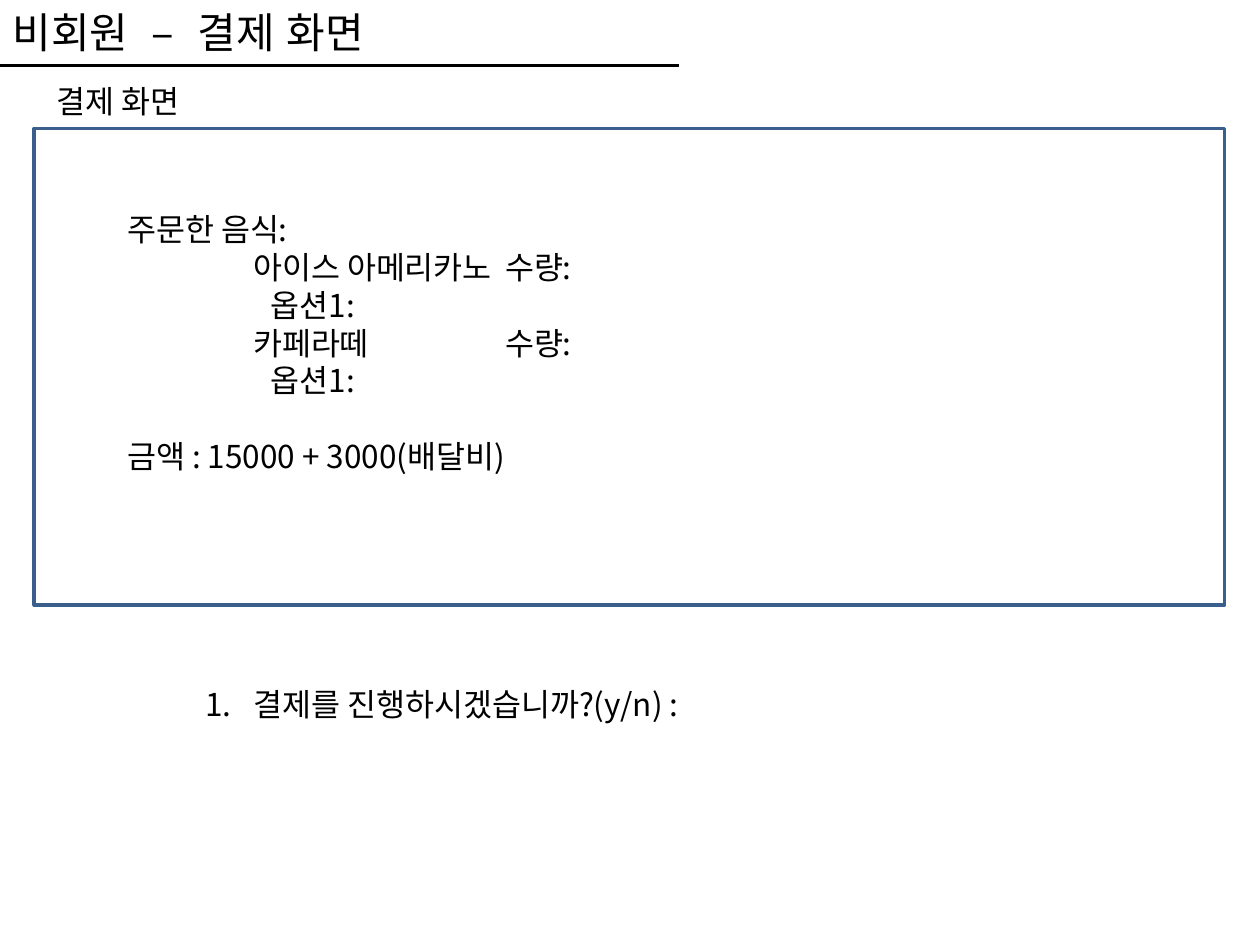
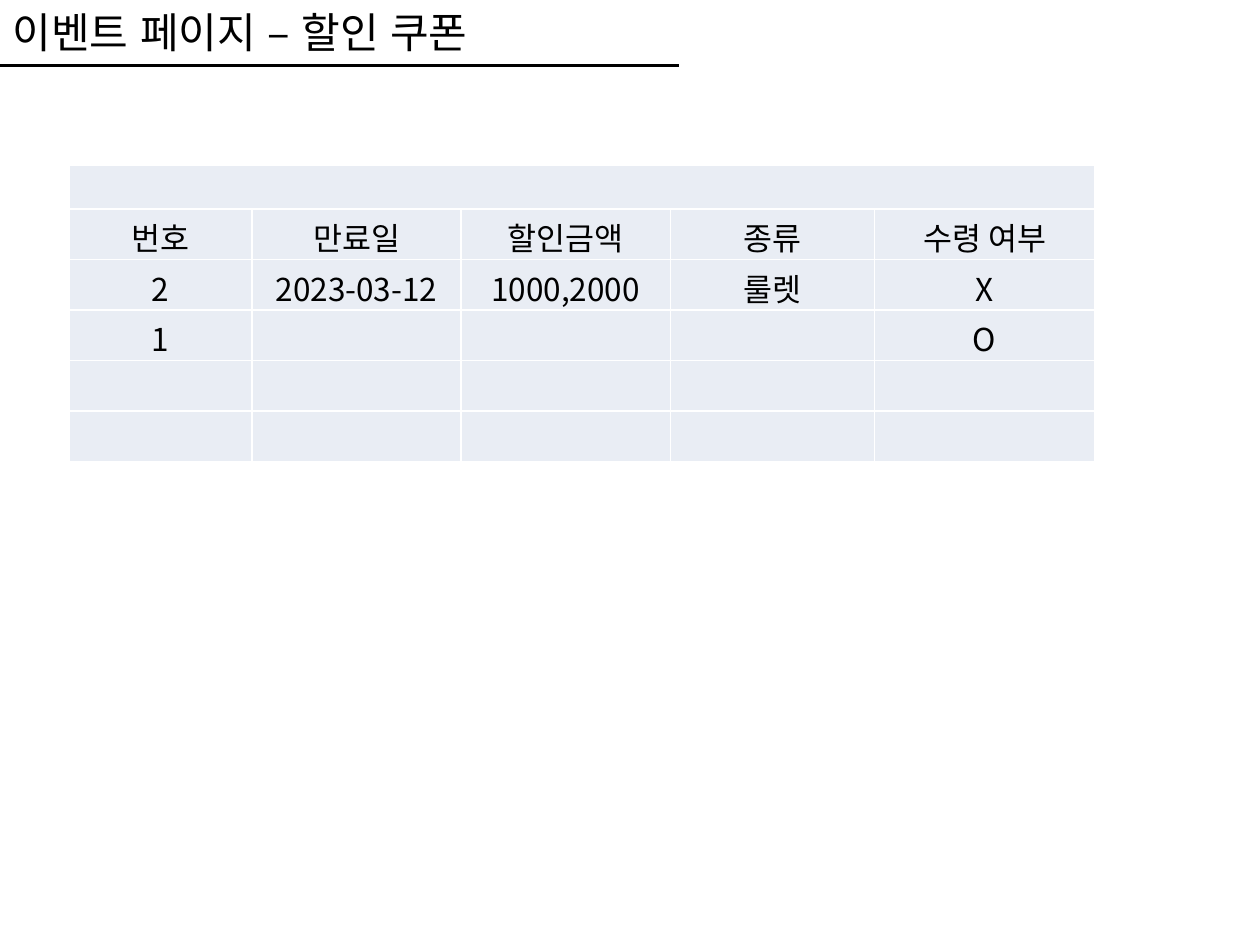
from lxml import etree
from pptx import Presentation
from pptx.dml.color import RGBColor
from pptx.enum.shapes import MSO_CONNECTOR, MSO_SHAPE
from pptx.enum.text import MSO_ANCHOR, MSO_AUTO_SIZE, PP_ALIGN
from pptx.oxml.ns import qn
from pptx.util import Inches, Pt

# Shared style
FONT = "Noto Sans CJK KR"
BLACK, WHITE, FRAME_BLUE, CELL_BLUE = "000000", "FFFFFF", "3A5F8C", "E9EDF4"
TITLE_SIZE, BODY_SIZE, EMPTY_SIZE = 24, 18, 12
LINE_FACTOR = 1.2
WORD_GAP, WIDE_GAP = 1.2, 8  # points added to a space in a title
TITLE_ONLY, TITLE_AND_CONTENT = 5, 1

# Payment slide content
PAYMENT_TITLE = "비회원 – 결제 화면"
PAYMENT_HEADING = "결제 화면"
ORDER_LINES = [  # kind, text
    ("label", "주문한 음식:"),
    ("item", "\t아이스 아메리카노\t수량:"),
    ("option", "옵션1:"),
    ("item", "\t카페라떼\t\t수량:"),
    ("option", "옵션1:"),
    ("total", "금액 : 15000 + 3000(배달비)"),
]
QUESTIONS = ["결제를 진행하시겠습니까?(y/n) :"]
TAB_SIZE = 1
OPTION_INDENT = 1.14
NUMBER_INDENT = 0.38

# Coupon slide content
COUPON_TITLE = "이벤트 페이지 – 할인 쿠폰"
COUPON_ROWS = [
    ["", "", "", "", ""],
    ["번호", "만료일", "할인금액", "종류", "수령 여부"],
    ["2", "2023-03-12", "1000,2000", "룰렛", "X"],
    ["1", "", "", "", "O"],
    ["", "", "", "", ""],
    ["", "", "", "", ""],
]
COLUMN_WIDTHS = [1.45, 1.66, 1.66, 1.62, 1.75]
BANNER_HEIGHT, ROW_HEIGHT = 0.35, 0.4


def color(value):
    return RGBColor.from_string(value)


def box(left, top, width, height):
    return [Inches(length) for length in (left, top, width, height)]


def style_paragraph(paragraph, size=BODY_SIZE, align=PP_ALIGN.LEFT, before=0):
    paragraph.alignment = align
    paragraph.line_spacing = Pt(size * LINE_FACTOR)
    paragraph.space_before = Pt(before)
    font = paragraph.font
    font.name, font.size = FONT, Pt(size)
    font.color.rgb = color(BLACK)
    properties = paragraph._p.get_or_add_pPr().find(qn("a:defRPr"))
    etree.SubElement(properties, qn("a:ea"), typeface=FONT)


def prepare_frame(shape):
    frame = shape.text_frame
    frame.word_wrap = True
    frame.auto_size = MSO_AUTO_SIZE.NONE
    frame.vertical_anchor = MSO_ANCHOR.TOP
    frame.margin_top = frame.margin_bottom = Inches(0.05)
    return frame


def place(shape, bounds):
    shape.left, shape.top, shape.width, shape.height = box(*bounds)


def set_indent(paragraph, margin, first=0):
    properties = paragraph._p.get_or_add_pPr()
    properties.set("marL", str(Inches(margin)))
    properties.set("indent", str(Inches(first)))
    return properties


def add_spaced_words(paragraph, text, dash_gap):
    words = text.split(" ")
    for index, word in enumerate(words):
        if index:
            space = paragraph.add_run()
            space.text = " "
            gap = dash_gap if "–" in (words[index - 1], word) else WORD_GAP
            space.font._element.set("spc", str(round(gap * 100)))
        paragraph.add_run().text = word


def add_titled_slide(presentation, layout, title, dash_gap):
    slide = presentation.slides.add_slide(presentation.slide_layouts[layout])
    place(slide.shapes.title, (0, 0, 7.36, 0.5))
    paragraph = prepare_frame(slide.shapes.title).paragraphs[0]
    add_spaced_words(paragraph, title, dash_gap)
    style_paragraph(paragraph, TITLE_SIZE)
    # Rule under the title
    rule = slide.shapes.add_connector(
        MSO_CONNECTOR.STRAIGHT, *box(0, 0.52, 5.39, 0.52))
    rule.line.color.rgb = color(BLACK)
    rule.line.width = Pt(1.75)
    etree.SubElement(rule._element.spPr, qn("a:effectLst"))
    return slide


def add_order(slide):
    frame = prepare_frame(slide.shapes.add_textbox(*box(0.91, 1.62, 5.75, 2.83)))
    for index, (kind, text) in enumerate(ORDER_LINES):
        paragraph = frame.add_paragraph() if index else frame.paragraphs[0]
        paragraph.text = text
        if kind == "option":
            set_indent(paragraph, OPTION_INDENT)
        elif kind == "item":
            set_indent(paragraph, 0).set("defTabSz", str(Inches(TAB_SIZE)))
        gap = BODY_SIZE * LINE_FACTOR if kind == "total" else 0
        style_paragraph(paragraph, before=gap)


def add_questions(slide):
    body = slide.placeholders[1]
    place(body, (1.53, 5.39, 6.46, 1.32))
    frame = prepare_frame(body)
    for index, question in enumerate(QUESTIONS):
        paragraph = frame.add_paragraph() if index else frame.paragraphs[0]
        paragraph.text = question
        properties = set_indent(paragraph, NUMBER_INDENT, -NUMBER_INDENT)
        etree.SubElement(properties, qn("a:buFont"), typeface="+mj-lt")
        etree.SubElement(properties, qn("a:buAutoNum"), type="arabicPeriod")
        style_paragraph(paragraph)


def build_payment_slide(presentation):
    slide = add_titled_slide(
        presentation, TITLE_AND_CONTENT, PAYMENT_TITLE, WIDE_GAP)
    heading = prepare_frame(slide.shapes.add_textbox(*box(0.35, 0.6, 2.83, 0.4)))
    heading.text = PAYMENT_HEADING
    style_paragraph(heading.paragraphs[0])
    add_questions(slide)
    add_order(slide)
    # Frame around the order
    border = slide.shapes.add_shape(MSO_SHAPE.RECTANGLE, *box(0.27, 1.02, 9.45, 3.78))
    border.shadow.inherit = False
    border.fill.background()
    border.line.color.rgb = color(FRAME_BLUE)
    border.line.width = Pt(2)


def style_cell(cell, text):
    cell.text = text
    cell.vertical_anchor = MSO_ANCHOR.MIDDLE
    cell.margin_top, cell.margin_bottom = Inches(0.1), Inches(0)
    style_paragraph(cell.text_frame.paragraphs[0],
                    BODY_SIZE if text else EMPTY_SIZE, PP_ALIGN.CENTER)
    properties = cell._tc.get_or_add_tcPr()
    for side in ("a:lnL", "a:lnR", "a:lnT", "a:lnB"):
        line = etree.SubElement(properties, qn(side), w=str(Pt(1)))
        fill = etree.SubElement(line, qn("a:solidFill"))
        etree.SubElement(fill, qn("a:srgbClr"), val=WHITE)
    cell.fill.solid()
    cell.fill.fore_color.rgb = color(CELL_BLUE)


def build_coupon_slide(presentation):
    slide = add_titled_slide(presentation, TITLE_ONLY, COUPON_TITLE, WORD_GAP)
    heights = [BANNER_HEIGHT] + [ROW_HEIGHT] * (len(COUPON_ROWS) - 1)
    bounds = box(0.55, 1.31, sum(COLUMN_WIDTHS), sum(heights))
    table = slide.shapes.add_table(len(heights), len(COLUMN_WIDTHS), *bounds).table
    table.first_row = table.horz_banding = False
    for column, width in zip(table.columns, COLUMN_WIDTHS):
        column.width = Inches(width)
    for row, height, texts in zip(table.rows, heights, COUPON_ROWS):
        row.height = Inches(height)
        for cell, text in zip(row.cells, texts):
            style_cell(cell, text)
    # Banner row across all columns
    table.cell(0, 0).merge(table.cell(0, len(COLUMN_WIDTHS) - 1))


def main():
    presentation = Presentation()
    presentation.slide_width, presentation.slide_height = Inches(10), Inches(7.5)
    build_payment_slide(presentation)
    build_coupon_slide(presentation)
    presentation.save("out.pptx")


if __name__ == "__main__":
    main()
